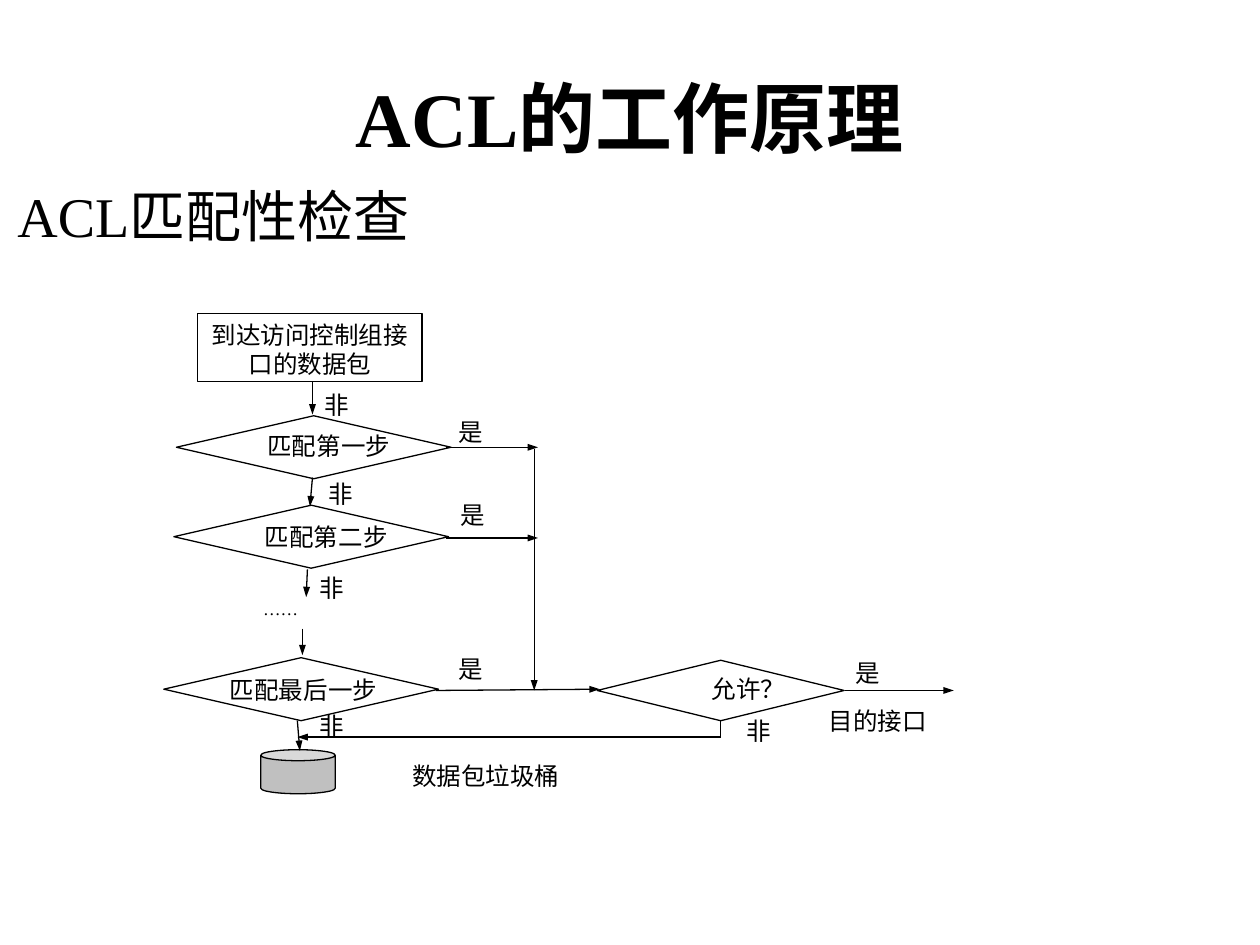
import dataclasses

import lxml.etree
import pptx
import pptx.dml.color
import pptx.enum.shapes
import pptx.enum.text
import pptx.oxml.ns
import pptx.util

ALIGN = pptx.enum.text.PP_ALIGN
ANCHOR = pptx.enum.text.MSO_ANCHOR
SHAPE = pptx.enum.shapes.MSO_SHAPE
COLUMNS, ROWS = 100, 75


@dataclasses.dataclass(frozen=True)
class Theme:
    font: str = "Times New Roman"
    ink: str = "000000"
    paper: str = "FFFFFF"
    bin: str = "C0C0C0"
    title: int = 44
    subtitle: int = 32
    label: int = 14
    dots: int = 10
    line: float = 0.75


def color(value):
    return pptx.dml.color.RGBColor.from_string(value)


def write(shape, text, *, theme, size, align=ALIGN.LEFT, anchor=ANCHOR.TOP, bold=False, before=0):
    frame = shape.text_frame
    frame.word_wrap = True
    frame.vertical_anchor = anchor
    paragraph = frame.paragraphs[0]
    paragraph.alignment = align
    paragraph.space_before = pptx.util.Pt(before)
    run = paragraph.add_run()
    run.text = text
    run.font.name = theme.font
    run.font.size = pptx.util.Pt(size)
    run.font.bold = bold
    run.font.color.rgb = color(theme.ink)


class FlowSlide:
    """Draws flowchart elements on one slide, placed by grid columns and rows."""

    def __init__(self, presentation, theme):
        self.theme = theme
        self.column = presentation.slide_width / COLUMNS
        self.row = presentation.slide_height / ROWS
        self.slide = presentation.slides.add_slide(presentation.slide_layouts[5])

    def place(self, left, top, width, height):
        return (round(left * self.column), round(top * self.row),
                round(width * self.column), round(height * self.row))

    def title(self, text, *box):
        shape = self.slide.shapes.title
        shape.left, shape.top, shape.width, shape.height = self.place(*box)
        write(shape, text, theme=self.theme, size=self.theme.title,
              align=ALIGN.CENTER, anchor=ANCHOR.MIDDLE, bold=True)

    def text(self, text, *box, size=None, **style):
        shape = self.slide.shapes.add_textbox(*self.place(*box))
        write(shape, text, theme=self.theme, size=size or self.theme.label, **style)

    def node(self, kind, *box, fill=None):
        shape = self.slide.shapes.add_shape(kind, *self.place(*box))
        shape.shadow.inherit = False
        shape.fill.solid()
        shape.fill.fore_color.rgb = color(fill or self.theme.paper)
        shape.line.color.rgb = color(self.theme.ink)
        shape.line.width = pptx.util.Pt(self.theme.line)
        return shape

    def process(self, text, *box):
        shape = self.node(SHAPE.RECTANGLE, *box)
        write(shape, text, theme=self.theme, size=self.theme.label, align=ALIGN.CENTER)

    def line(self, *ends, arrow=True):
        connector = self.slide.shapes.add_connector(
            pptx.enum.shapes.MSO_CONNECTOR.STRAIGHT, *self.place(*ends))
        connector.line.color.rgb = color(self.theme.ink)
        connector.line.width = pptx.util.Pt(self.theme.line)
        name = pptx.oxml.ns.qn
        if arrow:
            lxml.etree.SubElement(connector.line._get_or_add_ln(), name("a:tailEnd"),
                                  type="triangle", w="sm", len="med")
        lxml.etree.SubElement(connector._element.spPr, name("a:effectLst"))


def main():
    theme = Theme()
    presentation = pptx.Presentation()
    presentation.slide_width = pptx.util.Inches(10)
    presentation.slide_height = pptx.util.Inches(7.5)
    flow = FlowSlide(presentation, theme)

    flow.title("ACL的工作原理", 5, 3, 90, 12.5)
    flow.text("ACL匹配性检查", 0.4, 13.9, 45.7, 6.4, size=theme.subtitle, before=20)

    flow.process("到达访问控制组接口的数据包", 15.7, 24.9, 17.8, 5.4)
    for left, top in ((14, 33), (13.8, 40.1), (13, 52.2)):
        flow.node(SHAPE.FLOWCHART_DECISION, left, top, 21.8, 5)
    flow.node(SHAPE.FLOWCHART_DECISION, 47.4, 52.4, 19.6, 4.8)
    flow.node(SHAPE.CAN, 20.7, 59.5, 5.9, 3.5, fill=theme.bin)

    for left, top, width, text in (
        (18.4, 33.7, 15.4, "匹配第一步"),
        (18.2, 40.9, 15.4, "匹配第二步"),
        (15.9, 53.1, 16.4, "匹配最后一步"),
        (52.9, 53, 13, "允许？"),
        (28.3, 59.9, 20.5, "数据包垃圾桶"),
    ):
        flow.text(text, left, top, width, 3.6, align=ALIGN.CENTER)

    arrows = (
        (24.8, 30.3, 24.8, 32.9), (24.8, 37.9, 24.6, 40.2),
        (24.4, 45.2, 24.3, 47.4), (24, 49.9, 24, 52),
        (23.6, 57.2, 23.8, 59.6), (35.4, 35.5, 42.7, 35.5),
        (35.4, 42.7, 42.7, 42.7), (42.4, 35.6, 42.4, 54.8),
        (34.6, 54.8, 47.6, 54.7), (67.1, 54.8, 75.7, 54.8),
        (57.2, 58.5, 23.6, 58.5),
    )
    for ends in arrows:
        flow.line(*ends)
    flow.line(57.2, 57.2, 57.2, 58.4, arrow=False)

    branches = {
        "是": ((35.4, 32.6), (35.6, 39.2), (35.4, 51.4), (66.9, 51.7)),
        "非": ((24.8, 30.5), (25.1, 37.5), (24.4, 45), (24.4, 55.9), (58.3, 56.3)),
    }
    for answer, corners in branches.items():
        for left, top in corners:
            flow.text(answer, left, top, 6.5, 3, align=ALIGN.JUSTIFY)
    flow.text("……", 19.9, 47, 11.2, 3.6, size=theme.dots, align=ALIGN.JUSTIFY)
    flow.text("目的接口", 64.8, 55.5, 15.4, 3.2, align=ALIGN.JUSTIFY)

    presentation.save("out.pptx")


if __name__ == "__main__":
    main()
